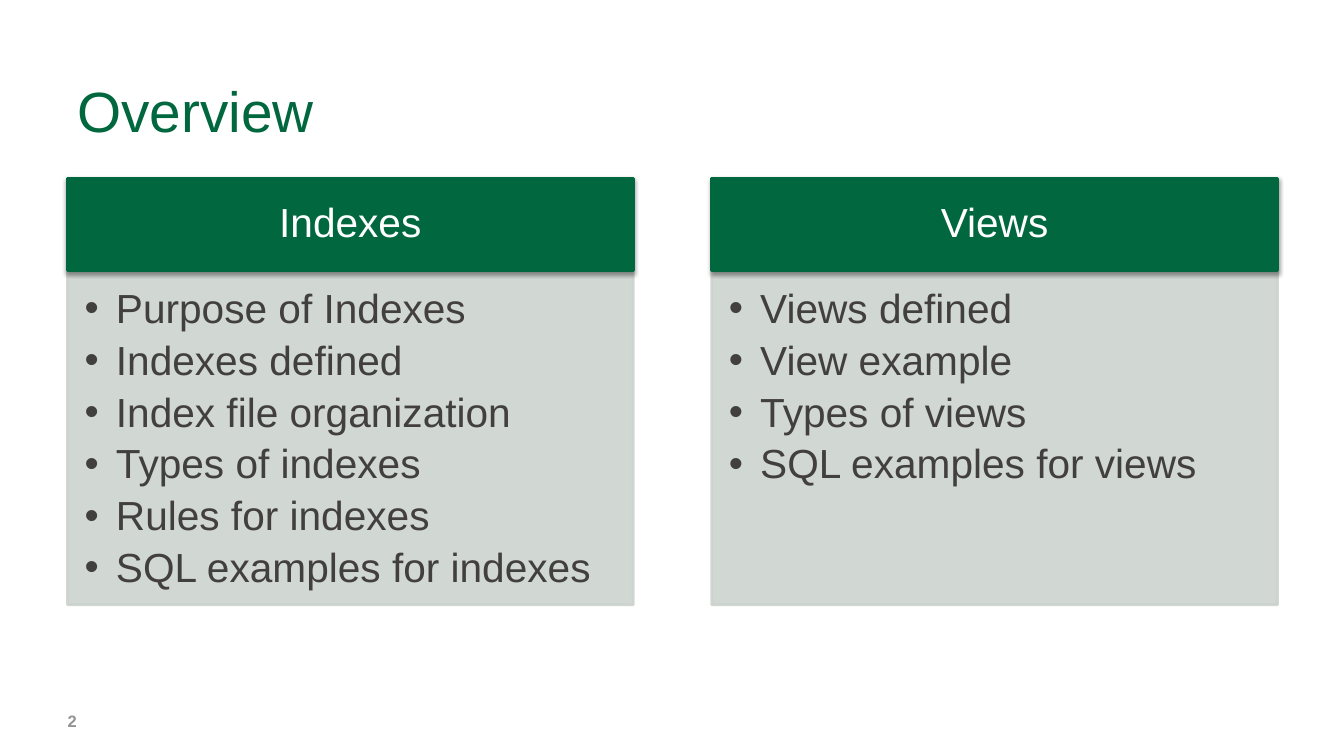
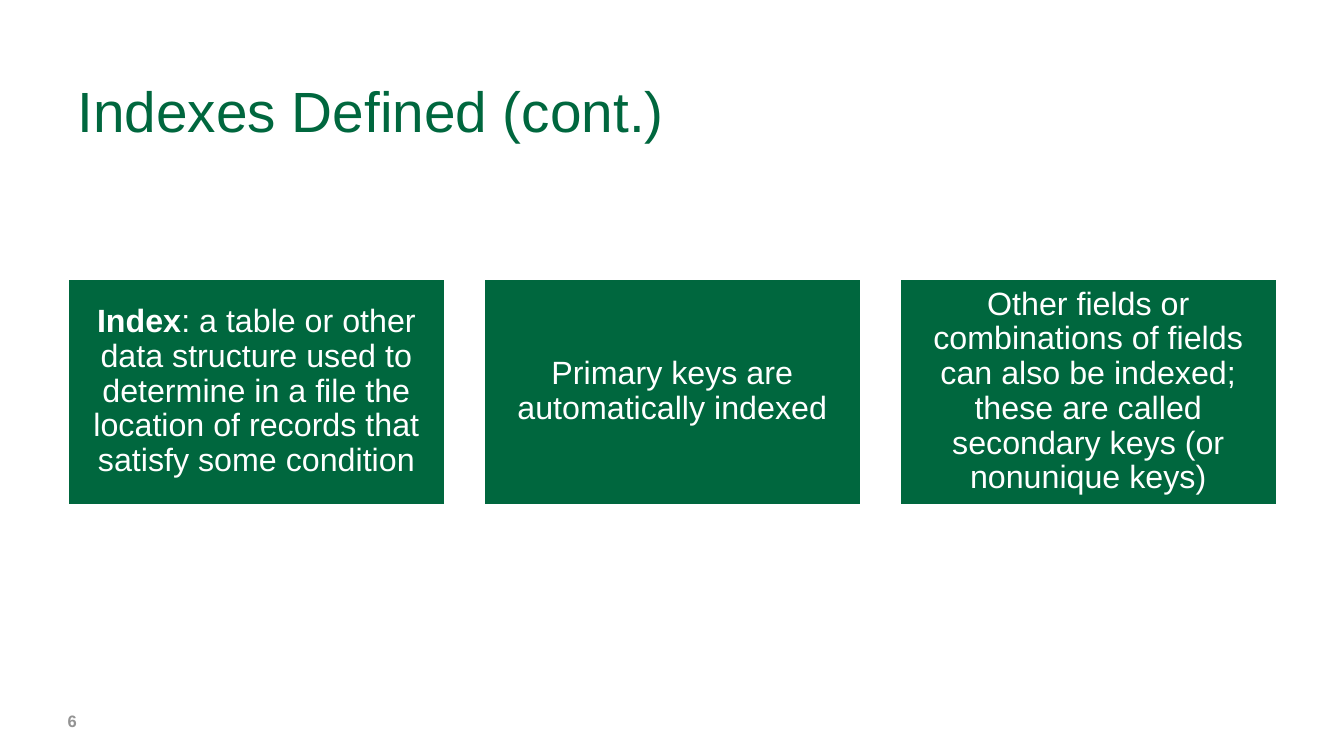
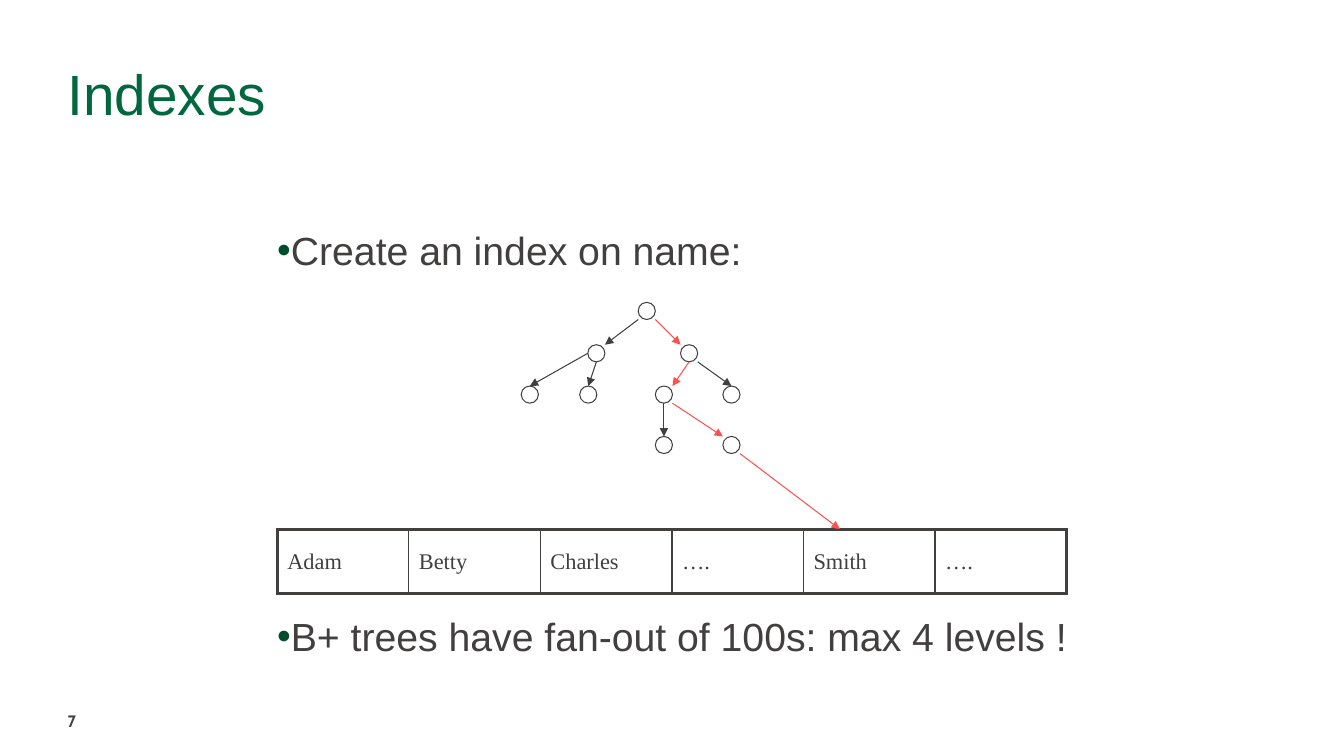
from lxml.etree import SubElement
from pptx import Presentation
from pptx.dml.color import RGBColor
from pptx.enum.shapes import MSO_CONNECTOR as Connector, MSO_SHAPE as Preset
from pptx.enum.text import MSO_ANCHOR as Anchor, PP_ALIGN as Align
from pptx.oxml.ns import qn
from pptx.util import Inches, Pt

GREEN = RGBColor(0x00, 0x67, 0x3E)
DARK_GREEN = RGBColor(0x00, 0x4D, 0x2E)
PALE_GREEN = RGBColor(0xCC, 0xD3, 0xCE)
INK = RGBColor(0x42, 0x3F, 0x3F)
GRAY = RGBColor(0x93, 0x93, 0x93)
RED = RGBColor(0xFF, 0x50, 0x50)
WHITE = RGBColor(0xFF, 0xFF, 0xFF)

MARGIN = 0.67
CONTENT_WIDTH = 12
HAIRLINE = 0.75
TITLE_INSETS = (0.1, 0.05, 0.1, 0.05)
NO_INSETS = (0, 0, 0, 0)


def apply_format(target, values):
    """Set each named attribute of the target."""
    for name, value in values.items():
        setattr(target, name, value)


def add_xml(parent, tag, **attributes):
    """Append a drawing element and return it."""
    return SubElement(parent, qn(tag), attributes)


def font_format(size, name="Arial", bold=False):
    """Return the format values of a font."""
    return {"size": Pt(size), "name": name, "bold": bold}


def add_bullet(paragraph, color=None, indent=0):
    """Give a paragraph a round bullet with a hanging indent."""
    properties = paragraph._p.get_or_add_pPr()
    properties.set("marL", str(Inches(indent)))
    properties.set("indent", str(-Inches(indent)))
    if color is not None:
        add_xml(add_xml(properties, "a:buClr"), "a:srgbClr", val=str(color))
    add_xml(properties, "a:buFont", typeface="Arial")
    add_xml(properties, "a:buChar", char="•")


class Deck:
    """Hold the presentation, its style and the current slide."""

    def __init__(self):
        """Start a wide presentation."""
        self.presentation = Presentation()
        apply_format(self.presentation, {"slide_width": Inches(13.33), "slide_height": Inches(7.5)})
        self.slide = None

    def start_slide(self, title, number, top=0.55, insets=TITLE_INSETS,
                    number_font="Arial", number_color=GRAY):
        """Add a slide with its title and slide number."""
        self.slide = self.presentation.slides.add_slide(self.presentation.slide_layouts[6])
        heading = self.text_box(MARGIN, top, CONTENT_WIDTH, 1.2, insets)
        self.add_text(heading.paragraphs[0], title, font_format(40.5), GREEN,
                      {"line_spacing": 0.8})
        footer = self.text_box(MARGIN, 6.95, 0.97, 0.4)
        self.add_text(footer.paragraphs[0], number, font_format(11.8, number_font, True),
                      number_color)

    def add_text(self, paragraph, text, font, color, layout=None):
        """Append a run to a paragraph and set the paragraph layout."""
        run = paragraph.add_run()
        run.text = text
        apply_format(run.font, font)
        run.font.color.rgb = color
        apply_format(paragraph, layout or {})

    def set_frame(self, frame, insets, anchor):
        """Set wrapping, anchor and insets of a text frame."""
        sides = ("margin_left", "margin_top", "margin_right", "margin_bottom")
        apply_format(frame, {"word_wrap": True, "vertical_anchor": anchor})
        apply_format(frame, dict(zip(sides, map(Inches, insets))))
        return frame

    def text_box(self, left, top, width, height, insets=NO_INSETS, anchor=Anchor.MIDDLE):
        """Add a text box and return its frame."""
        box = self.slide.shapes.add_textbox(*map(Inches, (left, top, width, height)))
        return self.set_frame(box.text_frame, insets, anchor)

    def shape(self, preset, left, top, width, height, fill, line, line_width):
        """Add a flat preset shape, without fill if fill is None."""
        shape = self.slide.shapes.add_shape(preset, *map(Inches, (left, top, width, height)))
        shape.shadow.inherit = False
        if fill is None:
            shape.fill.background()
        else:
            shape.fill.solid()
            shape.fill.fore_color.rgb = fill
        shape.line.color.rgb = line
        shape.line.width = Pt(line_width)
        return shape

    def card(self, left, top, width, height, runs, size, insets, line):
        """Add a green box of centred text from (text, bold) runs."""
        card = self.shape(Preset.RECTANGLE, left, top, width, height, GREEN, line, 2)
        frame = self.set_frame(card.text_frame, insets, Anchor.MIDDLE)
        for text, bold in runs:
            self.add_text(frame.paragraphs[0], text, font_format(size, bold=bold), WHITE,
                          {"alignment": Align.CENTER, "line_spacing": 0.9})
        return card

    def panel(self, left, width, heading, items):
        """Add a shadowed heading above a pale bullet list."""
        body = self.shape(Preset.RECTANGLE, left, 2.69, width, 3.31, PALE_GREEN, PALE_GREEN, 2)
        for color in list(body.element.spPr.iter(qn("a:srgbClr"))):
            add_xml(color, "a:alpha", val="90000")
        frame = self.set_frame(body.text_frame, (0.17, 0.17, 0.23, 0.25), Anchor.TOP)
        for index, item in enumerate(items):
            paragraph = frame.add_paragraph() if index else frame.paragraphs[0]
            self.add_text(paragraph, item, font_format(29), INK,
                          {"alignment": Align.LEFT, "line_spacing": 0.9, "space_after": Pt(5.7)})
            add_bullet(paragraph, indent=0.31)
        header = self.card(left, 1.77, width, 0.91, [(heading, False)], 29,
                           (0.23, 0.13, 0.23, 0.13), GREEN)
        effects = header.element.spPr.find(qn("a:effectLst"))
        shadow = add_xml(effects, "a:outerShdw", blurRad=str(Pt(3.1)), dist=str(Pt(1.6)),
                         dir="5400000", rotWithShape="0")
        add_xml(add_xml(shadow, "a:srgbClr", val="000000"), "a:alpha", val="38000")

    def arrow(self, start, end, color):
        """Add a thin straight arrow between two points."""
        line = self.slide.shapes.add_connector(Connector.STRAIGHT, *map(Inches, (*start, *end)))
        line.line.color.rgb = color
        line.line.width = Pt(HAIRLINE)
        properties = line.element.spPr
        add_xml(properties.find(qn("a:ln")), "a:tailEnd", type="triangle")
        add_xml(properties, "a:effectLst")

    def record_row(self, left, top, width, height, names):
        """Add a one-row table with a heavy outer border."""
        count = len(names)
        frame = self.slide.shapes.add_table(1, count, *map(Inches, (left, top, width, height)))
        table = frame.table
        apply_format(table, {"first_row": False, "horz_banding": False})
        for index, name in enumerate(names):
            table.columns[index].width = Inches(width / count)
            cell = table.cell(0, index)
            cell.vertical_anchor = Anchor.MIDDLE
            self.add_text(cell.text_frame.paragraphs[0], name,
                          font_format(16, "Times New Roman"), INK, {"space_before": Pt(3.2)})
            borders = {"a:lnL": 1 if index else 2.25, "a:lnR": 1 if index < count - 1 else 2.25,
                       "a:lnT": 2.25, "a:lnB": 2.25}
            for tag, weight in borders.items():
                border = add_xml(cell._tc.get_or_add_tcPr(), tag, w=str(Pt(weight)))
                add_xml(add_xml(border, "a:solidFill"), "a:srgbClr", val=str(INK))
            cell.fill.background()


def build_overview(deck):
    """Build the slide that lists both topics."""
    deck.start_slide("Overview", "2")
    width = 5.61
    panels = {
        "Indexes": ["Purpose of Indexes", "Indexes defined", "Index file organization",
                    "Types of indexes", "Rules for indexes", "SQL examples for indexes"],
        "Views": ["Views defined", "View example", "Types of views", "SQL examples for views"],
    }
    for index, (heading, items) in enumerate(panels.items()):
        deck.panel(MARGIN + index * (CONTENT_WIDTH - width), width, heading, items)


def build_definitions(deck):
    """Build the slide with three definition cards."""
    deck.start_slide("Indexes Defined (cont.)", "6")
    width = 3.75
    cards = [
        [("Index", True), (": a table or other data structure used to determine in a file "
                           "the location of records that satisfy some condition", False)],
        [("Primary keys are automatically indexed", False)],
        [("Other fields or combinations of fields can also be indexed; "
          "these are called secondary keys (or nonunique keys)", False)],
    ]
    step = (CONTENT_WIDTH - width) / (len(cards) - 1)
    for index, runs in enumerate(cards):
        deck.card(MARGIN + index * step, 2.76, width, 2.25, runs, 23, (0.1,) * 4, WHITE)


def build_tree(deck):
    """Build the slide with a search tree above a row of records."""
    deck.start_slide("Indexes", "7", 0.38, NO_INSETS, "Cabin", INK)
    body = deck.text_box(2.75, 2.25, 8.5, 4.5, anchor=Anchor.TOP)
    points = [("Create an index on name:", 4),
              ("B+ trees have fan-out of 100s: max 4 levels !", 242)]
    for index, (text, space) in enumerate(points):
        paragraph = body.add_paragraph() if index else body.paragraphs[0]
        deck.add_text(paragraph, text, font_format(28), INK, {"space_before": Pt(space)})
        add_bullet(paragraph, DARK_GREEN)

    deck.record_row(2.75, 5.25, 7.83, 0.64,
                    ["Adam", "Betty", "Charles", "….", "Smith", "…."])

    node_size = 0.17
    nodes = {
        "root": (6.33, 3), "left": (5.83, 3.42), "right": (6.75, 3.42),
        "left leaf": (5.17, 3.83), "inner leaf": (5.75, 3.83),
        "middle": (6.5, 3.83), "right leaf": (7.17, 3.83),
        "lower leaf": (6.5, 4.33), "last": (7.17, 4.33),
    }
    for left, top in nodes.values():
        deck.shape(Preset.OVAL, left, top, node_size, node_size, None, INK, HAIRLINE)

    def port(name, across, down):
        """Return a point of a node's box, given as fractions of its size."""
        left, top = nodes[name]
        return left + across * node_size, top + down * node_size

    branches = [
        (("root", 0, 1), ("left", 1, 0), INK),
        (("root", 1, 1), ("right", 0, 0), RED),
        (("left", 0, 0.5), ("left leaf", 0.5, 0), INK),
        (("left", 0.5, 1), ("inner leaf", 0.5, 0), INK),
        (("right", 0.5, 1), ("middle", 1, 0), RED),
        (("right", 1, 1), ("right leaf", 0.5, 0), INK),
        (("middle", 0.5, 1), ("lower leaf", 0.5, 0), INK),
        (("middle", 1, 1), ("last", 0, 0), RED),
    ]
    for start, end, color in branches:
        deck.arrow(port(*start), port(*end), color)
    deck.arrow(port("last", 1, 1), (8.33, 5.25), RED)


deck = Deck()
for build in (build_overview, build_definitions, build_tree):
    build(deck)
deck.presentation.save("out.pptx")
